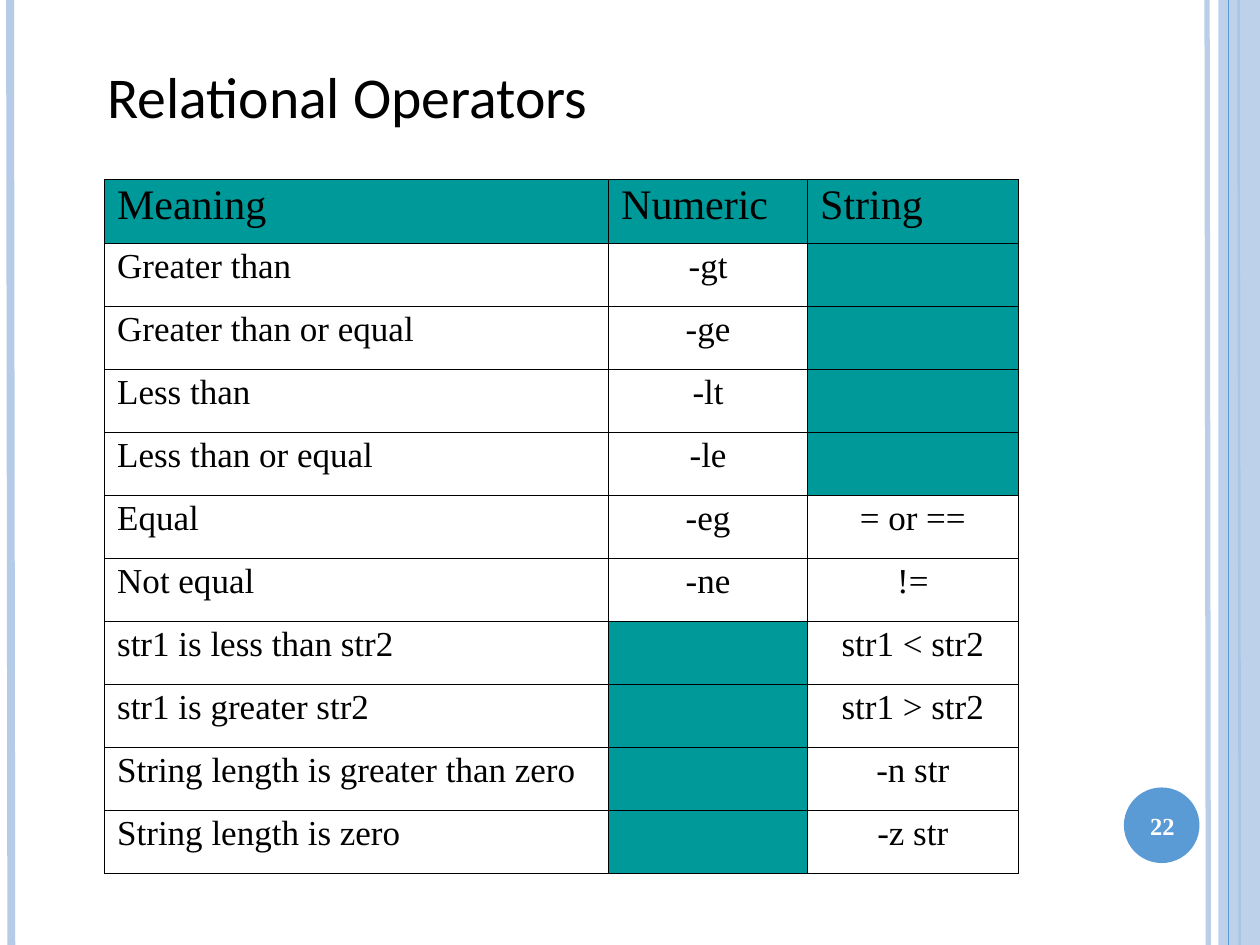
from lxml import etree
from pptx import Presentation
from pptx.dml.color import RGBColor
from pptx.enum.shapes import MSO_CONNECTOR, MSO_SHAPE
from pptx.enum.text import MSO_ANCHOR, PP_ALIGN
from pptx.oxml.ns import qn
from pptx.util import Inches, Pt

COLORS = {"black": "000000", "white": "FFFFFF", "teal": "009999",
          "pale": "B5CBE7", "blue": "5B9BD5"}
SERIF = "Times New Roman"

TITLE = "Relational Operators"
PAGE_NUMBER = "22"
HEADINGS = ("Meaning", "Numeric", "String")
OPERATORS = [
    ("Greater than", "-gt", ""),
    ("Greater than or equal", "-ge", ""),
    ("Less than", "-lt", ""),
    ("Less than or equal", "-le", ""),
    ("Equal", "-eg", "= or =="),
    ("Not equal", "-ne", "!="),
    ("str1 is less than str2", "", "str1 < str2"),
    ("str1 is greater str2", "", "str1 > str2"),
    ("String length is greater than zero", "", "-n str"),
    ("String length is zero", "", "-z str"),
]
COLUMN_WIDTHS = (4, 1.58, 1.67)
HEADING_HEIGHT, ROW_HEIGHT = 0.51, 0.5
OUTER_BORDER, INNER_BORDER = 0.5, 0.23

# x, width in points, colour, opacity in percent
STRIPES_BEHIND = [(9.58, 3, "pale", 93), (0.08, 4.5, "pale", 100), (9.83, 1.5, "blue", 100)]
STRIPES_FRONT = [(9.75, 0.75, "blue", 100)]


def rgb(name):
    return RGBColor.from_string(COLORS[name])


def set_opacity(fill_parent, percent):
    color = next(fill_parent.iter(qn("a:srgbClr")))
    etree.SubElement(color, qn("a:alpha")).set("val", str(percent * 1000))


def add_stripes(slide, stripes):
    for x, width, color, opacity in stripes:
        slant = 0 if width < 1 else 0.01
        stripe = slide.shapes.add_connector(
            MSO_CONNECTOR.STRAIGHT, Inches(x), 0, Inches(x + slant), Inches(7.5))
        stripe.line.width = Pt(width)
        stripe.line.color.rgb = rgb(color)
        properties = stripe.line._get_or_add_ln().getparent()
        etree.SubElement(properties, qn("a:effectLst"))
        if opacity < 100:
            set_opacity(properties, opacity)


def add_filled(slide, kind, box, color):
    shape = slide.shapes.add_shape(kind, *map(Inches, box))
    shape.shadow.inherit = False
    shape.fill.solid()
    shape.fill.fore_color.rgb = rgb(color)
    shape.line.fill.background()
    return shape


def write(frame, text, color="black", align=PP_ALIGN.LEFT, spacing=None, **font_format):
    paragraph = frame.paragraphs[0]
    paragraph.alignment = align
    paragraph.line_spacing = spacing
    target = paragraph.font
    if text:
        run = paragraph.add_run()
        run.text = text
        target = run.font
    for key, value in font_format.items():
        setattr(target, key, value)
    target.color.rgb = rgb(color)


def set_borders(cell, outer_sides):
    properties = cell._tc.get_or_add_tcPr()
    for side in "LRTB":
        width = OUTER_BORDER if side in outer_sides else INNER_BORDER
        border = etree.SubElement(properties, qn(f"a:ln{side}"), w=str(int(Pt(width))))
        fill = etree.SubElement(border, qn("a:solidFill"))
        etree.SubElement(fill, qn("a:srgbClr"), val=COLORS["black"])


def add_operator_table(slide):
    rows = [HEADINGS, *OPERATORS]
    heights = [HEADING_HEIGHT] + [ROW_HEIGHT] * len(OPERATORS)
    table = slide.shapes.add_table(
        len(rows), len(HEADINGS), Inches(0.83), Inches(1.42),
        Inches(sum(COLUMN_WIDTHS)), Inches(sum(heights))).table
    table.first_row = table.horz_banding = False
    for column, width in zip(table.columns, COLUMN_WIDTHS):
        column.width = Inches(width)
    for row, height in zip(table.rows, heights):
        row.height = Inches(height)

    last_row, last_column = len(rows) - 1, len(HEADINGS) - 1
    for r, texts in enumerate(rows):
        for c, text in enumerate(texts):
            cell = table.cell(r, c)
            edges = {"L": c == 0, "R": c == last_column, "T": r == 0, "B": r == last_row}
            set_borders(cell, [side for side, outer in edges.items() if outer])
            if r == 0 or not text:
                cell.fill.solid()
                cell.fill.fore_color.rgb = rgb("teal")
            else:
                cell.fill.background()
            write(cell.text_frame, text, spacing=0.93, name=SERIF,
                  align=PP_ALIGN.CENTER if r and c else PP_ALIGN.LEFT,
                  size=Pt(20 if r else 24))


def main():
    deck = Presentation()
    deck.slide_width, deck.slide_height = Inches(10), Inches(7.5)
    slide = deck.slides.add_slide(deck.slide_layouts[5])

    add_stripes(slide, STRIPES_BEHIND)
    band = add_filled(slide, MSO_SHAPE.RECTANGLE, (9.67, 0, 0.33, 7.5), "pale")
    set_opacity(band.fill._xPr, 87)
    add_stripes(slide, STRIPES_FRONT)
    add_filled(slide, MSO_SHAPE.OVAL, (8.92, 6.25, 0.6, 0.6), "blue")

    title = slide.shapes.title
    title.left, title.top, title.width, title.height = map(Inches, (0.75, 0.33, 8.5, 0.92))
    title.text_frame.vertical_anchor = MSO_ANCHOR.MIDDLE
    write(title.text_frame, TITLE, spacing=0.9, name="Calibri", size=Pt(33))

    add_operator_table(slide)

    number = slide.shapes.add_textbox(*map(Inches, (8.89, 6.27, 0.67, 0.57))).text_frame
    number.word_wrap = True
    number.vertical_anchor = MSO_ANCHOR.MIDDLE
    write(number, PAGE_NUMBER, "white", PP_ALIGN.CENTER, name=SERIF, size=Pt(14), bold=True)

    deck.save("out.pptx")


if __name__ == "__main__":
    main()
